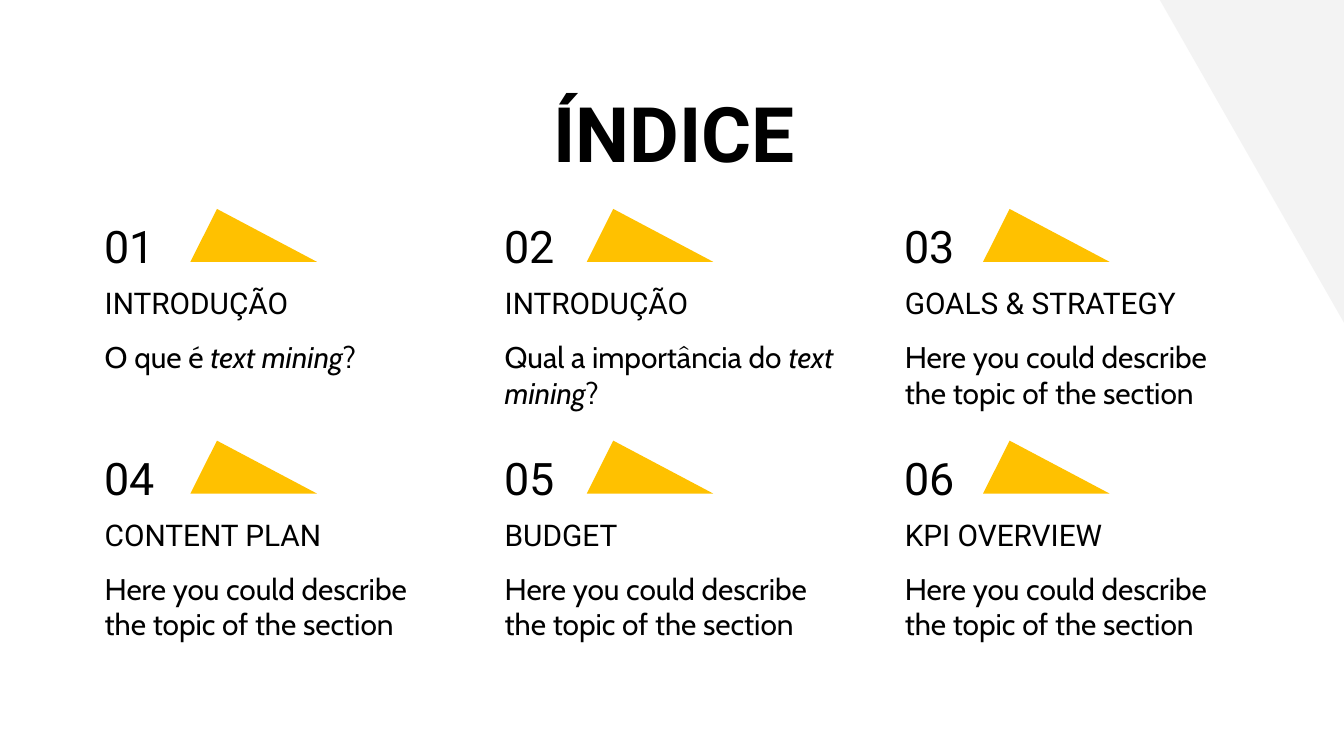
from pptx import Presentation
from pptx.dml.color import RGBColor
from pptx.enum import shapes, text
from pptx.util import Cm, Pt

BLACK = RGBColor(0x00, 0x00, 0x00)
YELLOW = RGBColor(0xFF, 0xC1, 0x00)
GREY = RGBColor(0xF3, 0xF3, 0xF3)
HEAD_FONT, BODY_FONT = "Roboto", "Cabin"

# Each line is a list of (text, italic) runs.
SECTION_TEXT = [[("Here you could describe", False)],
                [("the topic of the section", False)]]
TOPICS = [
    ("INTRODUÇÃO", [[("O que é ", False), ("text mining", True), ("?", False)]]),
    ("INTRODUÇÃO", [[("Qual a importância do ", False), ("text mining", True),
                     ("?", False)]]),
    ("GOALS & STRATEGY", SECTION_TEXT),
    ("CONTENT PLAN", SECTION_TEXT),
    ("BUDGET", SECTION_TEXT),
    ("KPI OVERVIEW", SECTION_TEXT),
]
COLUMNS = 3
ROW_PITCH = 4.38


def add_text(s, left, top, width, height, lines, font, size, bold=False,
             align=text.PP_ALIGN.LEFT, anchor=text.MSO_ANCHOR.TOP):
    sp = s.shapes.add_textbox(Cm(left), Cm(top), Cm(width), Cm(height))
    tf = sp.text_frame
    tf.word_wrap = True
    tf.vertical_anchor = anchor
    tf.margin_left = tf.margin_right = Cm(0.25)
    tf.margin_top = tf.margin_bottom = Cm(0.25)
    for i, line in enumerate(lines):
        p = tf.add_paragraph() if i else tf.paragraphs[0]
        p.alignment = align
        for words, italic in line:
            r = p.add_run()
            r.text = words
            r.font.name = font
            r.font.size = Pt(size)
            r.font.bold = bold
            r.font.italic = italic
            r.font.color.rgb = BLACK


def add_triangle(s, kind, left, top, width, height, color):
    sp = s.shapes.add_shape(kind, Cm(left), Cm(top), Cm(width), Cm(height))
    sp.shadow.inherit = False
    sp.fill.solid()
    sp.fill.fore_color.rgb = color
    sp.line.fill.background()
    return sp


def add_corner(s, left, top, width, height):
    sp = add_triangle(s, shapes.MSO_SHAPE.RIGHT_TRIANGLE,
                      left, top, width, height, GREY)
    sp.rotation = 180


def add_markers(s, left, top, pitch):
    """Yellow triangles, one behind each topic number."""
    for i in range(len(TOPICS)):
        row, col = divmod(i, COLUMNS)
        sp = add_triangle(s, shapes.MSO_SHAPE.ISOSCELES_TRIANGLE,
                          left + col * pitch, top + row * ROW_PITCH,
                          2.39, 1, YELLOW)
        sp.adjustments[0] = 0.21


def add_topic(s, left, top, width, number, title, lines):
    add_text(s, left, top, 3, 1, [[(f"{number:02}", False)]], HEAD_FONT, 24,
             anchor=text.MSO_ANCHOR.MIDDLE)
    add_text(s, left, top + 1, 6, 1, [[(title, False)]], HEAD_FONT, 16)
    add_text(s, left, top + 2.01, width, 1, lines, BODY_FONT, 16)


def add_topics(s, left, top, pitch):
    for i, (title, lines) in enumerate(TOPICS):
        row, col = divmod(i, COLUMNS)
        add_topic(s, left + col * pitch, top + row * ROW_PITCH, 7.21,
                  i + 1, title, lines)


def main():
    prs = Presentation()
    prs.slide_width, prs.slide_height = Cm(25.4), Cm(14.29)
    s = prs.slides.add_slide(prs.slide_layouts[6])
    add_corner(s, 21.92, 0, 3.48, 6.1)
    add_markers(s, 3.6, 3.95, 7.49)
    add_text(s, 1.5, 1.37, 22.5, 1.6, [[("ÍNDICE", False)]], HEAD_FONT, 41,
             bold=True, align=text.PP_ALIGN.CENTER)
    add_topics(s, 1.73, 4.14, 7.56)
    prs.save("out.pptx")


if __name__ == "__main__":
    main()
